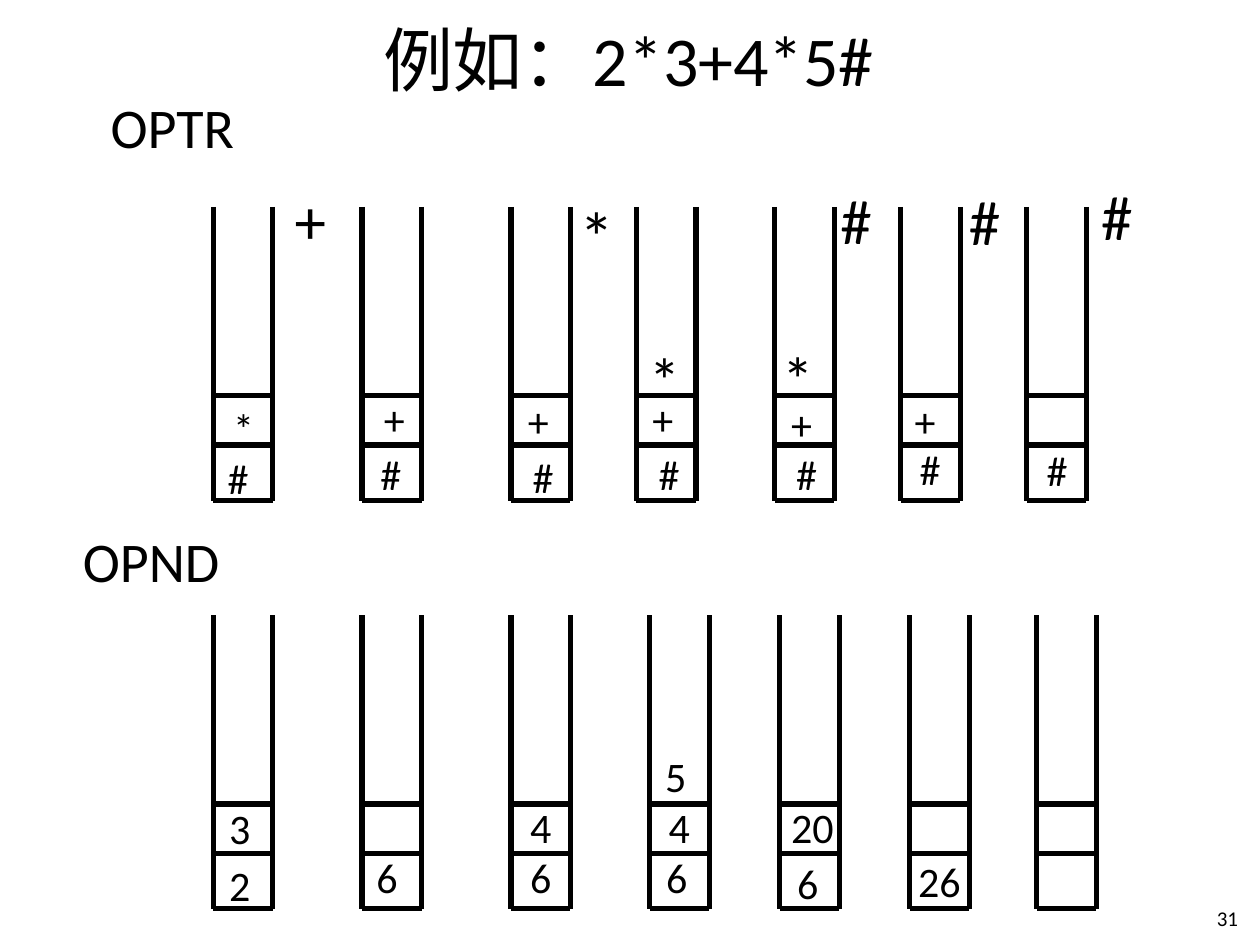
from lxml import etree
from pptx import Presentation
from pptx.dml.color import RGBColor
from pptx.enum.shapes import MSO_CONNECTOR
from pptx.enum.text import MSO_ANCHOR, PP_ALIGN
from pptx.oxml.ns import qn
from pptx.util import Cm, Pt

LINE = MSO_CONNECTOR.STRAIGHT
MIDDLE = MSO_ANCHOR.MIDDLE
CENTER = PP_ALIGN.CENTER
BLACK = RGBColor(0, 0, 0)
FONT = "Calibri"

WIDE, HIGH = 1.2, 5.92
RUNGS = (HIGH, 4.8, 3.81)
STACKS = {
    4.17: (4.3, 7.3, 10.3, 12.83, 15.62, 18.16, 20.7),
    12.4: (4.3, 7.3, 10.3, 13.1, 15.72, 18.34, 20.9),
}
HEADS = (("OPTR", 1.98, 1.75), ("OPND", 1.42, 10.49))
MARKS = {
    24: (
        ("#", 4.34, 8.99), ("*", 4.45, 7.98),
        ("#", 7.42, 8.92), ("+", 7.49, 7.8),
        ("#", 10.49, 8.97), ("+", 10.39, 7.85),
        ("#", 13.03, 8.92), ("+", 12.9, 7.8),
        ("#", 15.8, 8.92), ("+", 15.7, 7.9),
        ("#", 18.29, 8.81), ("+", 18.19, 7.85),
        ("#", 20.85, 8.84),
        ("2", 4.37, 17.2), ("3", 4.37, 16.05),
        ("6", 7.34, 17.04),
        ("6", 10.44, 17.04), ("4", 10.44, 16.03),
        ("6", 13.18, 17.04), ("4", 13.23, 16.03), ("5", 13.16, 15.01),
        ("6", 15.82, 17.17), ("20", 15.7, 16.03),
        ("26", 18.26, 17.12),
    ),
    36: (
        ("*", 12.83, 6.73), ("*", 15.52, 6.71), ("+", 5.69, 3.53),
        ("#", 16.69, 3.53), ("#", 19.28, 3.56), ("#", 21.95, 3.45),
    ),
    40: (("*", 11.43, 3.76),),
}


def style(para, size):
    """Set the font of a paragraph."""
    para.font.name = FONT
    para.font.size = Pt(size)
    para.font.color.rgb = BLACK


def add_title(slide, text):
    """Place and format the title."""
    title = slide.shapes.title
    title.left, title.top = Cm(1.24), Cm(0)
    title.width, title.height = Cm(22.86), Cm(2.34)
    frame = title.text_frame
    frame.text = text
    frame.vertical_anchor = MIDDLE
    frame.paragraphs[0].alignment = CENTER
    style(frame.paragraphs[0], 40)


def add_text(slide, text, left, top, size):
    """Add a text box that fits its one line."""
    wide = 0.5 + len(text) * size * 0.022
    high = 0.25 + size * 0.043
    box = slide.shapes.add_textbox(Cm(left), Cm(top), Cm(wide), Cm(high))
    frame = box.text_frame
    frame.word_wrap = True
    frame.text = text
    style(frame.paragraphs[0], size)


def add_line(group, x1, y1, x2, y2):
    """Add a thick black line."""
    line = group.shapes.add_connector(LINE, Cm(x1), Cm(y1), Cm(x2), Cm(y2))
    line.line.color.rgb = BLACK
    line.line.width = Pt(3)
    etree.SubElement(line._element.spPr, qn("a:effectLst"))


def add_stack(slide, left, top):
    """Draw an open stack with two cells at its foot."""
    group = slide.shapes.add_group_shape()
    right = left + WIDE
    for x in (left, right):
        add_line(group, x, top, x, top + HIGH)
    for rung in RUNGS:
        add_line(group, left, top + rung, right, top + rung)


def main():
    """Build the slide and save it."""
    deck = Presentation()
    deck.slide_width, deck.slide_height = Cm(25.4), Cm(19.05)
    slide = deck.slides.add_slide(deck.slide_layouts[5])
    add_title(slide, "例如：2*3+4*5#")
    add_text(slide, "31", 24.28, 18.14, 12)
    for head in HEADS:
        add_text(slide, *head, 32)
    for top, lefts in STACKS.items():
        for left in lefts:
            add_stack(slide, left, top)
    for size, marks in MARKS.items():
        for mark in marks:
            add_text(slide, *mark, size)
    deck.save("out.pptx")


if __name__ == "__main__":
    main()
